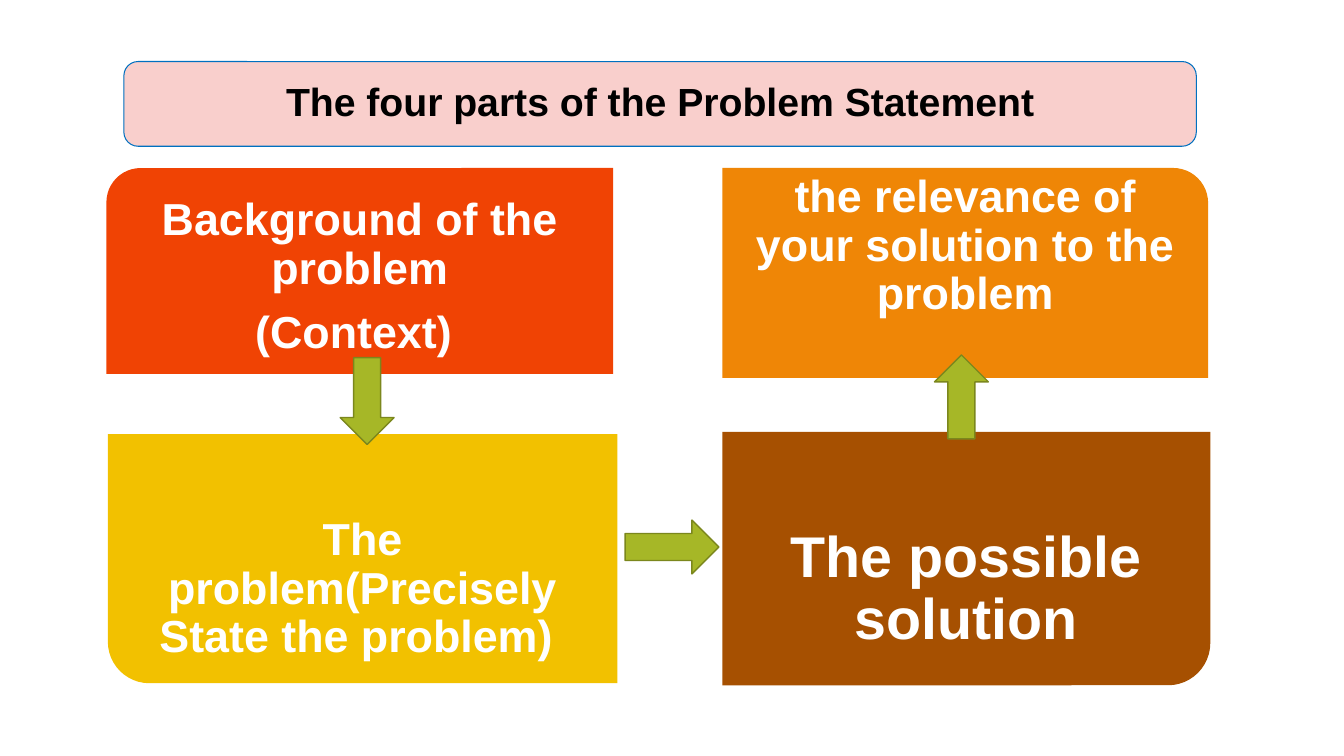
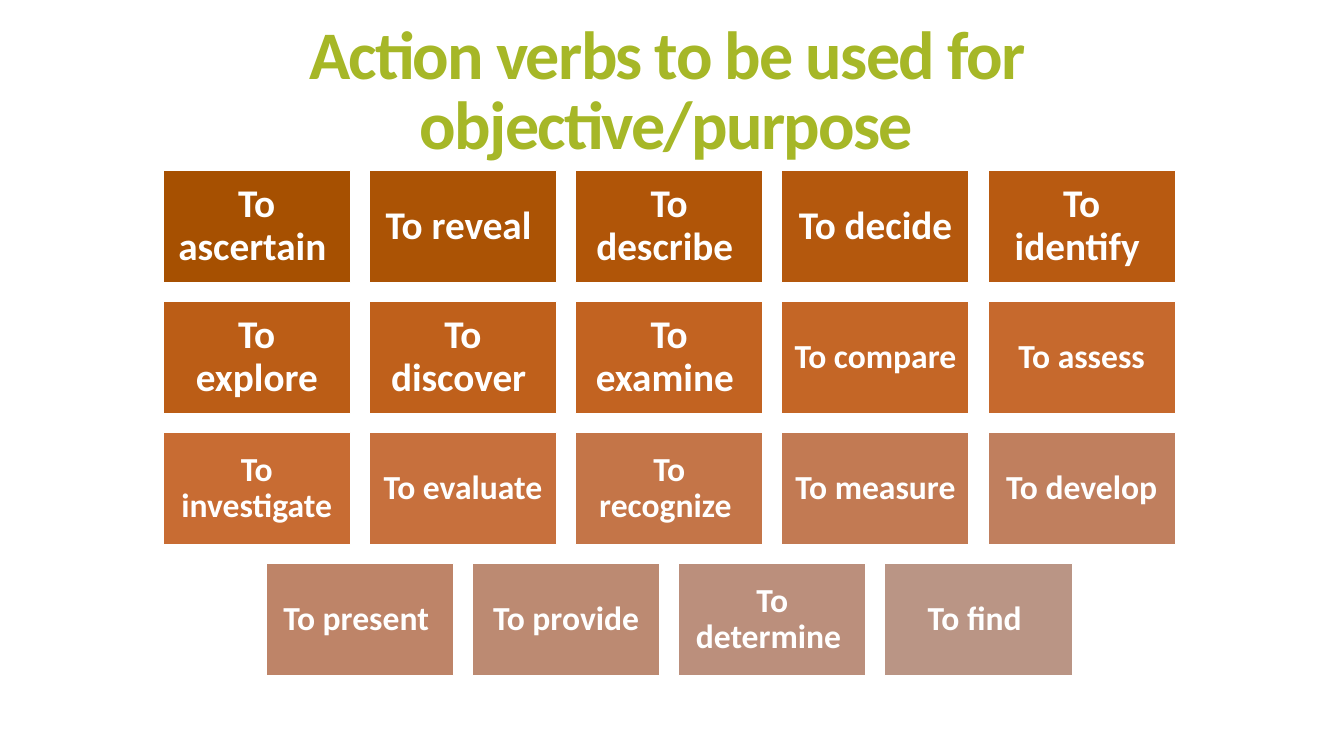
from dataclasses import dataclass

from pptx import Presentation
from pptx.dml.color import RGBColor
from pptx.enum.shapes import MSO_SHAPE
from pptx.enum.text import MSO_ANCHOR, MSO_AUTO_SIZE, PP_ALIGN
from pptx.util import Pt

CENTER = PP_ALIGN.CENTER
MIDDLE = MSO_ANCHOR.MIDDLE
NO_FIT = MSO_AUTO_SIZE.NONE
RECTANGLE = MSO_SHAPE.RECTANGLE
ROUNDED = MSO_SHAPE.ROUNDED_RECTANGLE
ONE_ROUND = MSO_SHAPE.ROUND_1_RECTANGLE
DOWN, UP, RIGHT = MSO_SHAPE.DOWN_ARROW, MSO_SHAPE.UP_ARROW, MSO_SHAPE.RIGHT_ARROW


@dataclass(frozen=True)
class Theme:
    white: str = "FFFFFF"
    black: str = "000000"
    green: str = "A6B727"
    green_edge: str = "7B871D"
    banner: str = "F9CFCC"
    banner_edge: str = "0070C0"
    red: str = "F04304"
    orange: str = "EF8606"
    yellow: str = "F2C100"
    brown: str = "A65001"
    diagram_font: str = "Arial"
    verb_font: str = "Calibri"
    banner_size: float = 28
    panel_size: float = 32
    solution_size: float = 41
    title_size: float = 48.6
    verb_size: float = 28
    small_verb_size: float = 24


theme = Theme()


def add_box(slide, kind, frame, fill, edge=None, edge_width=1):
    box = slide.shapes.add_shape(kind, *map(Pt, frame))
    box.shadow.inherit = False
    box.fill.solid()
    box.fill.fore_color.rgb = RGBColor.from_string(fill)
    if edge:
        box.line.color.rgb = RGBColor.from_string(edge)
        box.line.width = Pt(edge_width)
    else:
        box.line.fill.background()
    return box


def write(box, lines, font, size, colour, margin, spacing=0.9):
    text = box.text_frame
    text.word_wrap = True
    text.auto_size = NO_FIT
    text.vertical_anchor = MIDDLE
    text.margin_left = text.margin_right = Pt(margin)
    text.margin_top = text.margin_bottom = 0
    text.text = "\n".join(lines)
    for index, para in enumerate(text.paragraphs):
        para.alignment = CENTER
        para.line_spacing = spacing
        para.space_before = Pt(0.35 * size if index else 0)
        para.font.name = font
        para.font.size = Pt(size)
        para.font.bold = True
        para.font.color.rgb = RGBColor.from_string(colour)


deck = Presentation()
deck.slide_width, deck.slide_height = Pt(960), Pt(540)
title_only = deck.slide_layouts[5]

parts_page = deck.slides.add_slide(title_only)
title = parts_page.shapes.title
banner_frame = (88.5, 44, 766, 60.5)
title.left, title.top, title.width, title.height = map(Pt, banner_frame)
write(title, ["The four parts of the Problem Statement"],
      theme.diagram_font, theme.banner_size, theme.black, 8.4)
banner = add_box(parts_page, ROUNDED, banner_frame, theme.banner, theme.banner_edge, 0.75)
title._element.addprevious(banner._element)

panels = [
    ((76, 120, 362, 147), 270, theme.red, theme.panel_size, 23,
     ["Background of the problem", "(Context) "]),
    ((516, 120, 347, 150), 0, theme.orange, theme.panel_size, 0,
     ["the relevance of your solution to the problem"]),
    ((77, 310, 364, 178), 180, theme.yellow, theme.panel_size, 44.5,
     ["The problem(Precisely State the problem) "]),
    ((516, 308.5, 348.5, 181), 90, theme.brown, theme.solution_size, 45,
     ["The possible solution"]),
]
for (left, top, width, height), turn, fill, size, text_drop, lines in panels:
    frame = (left, top, width, height)
    if turn % 180:
        shift = (width - height) / 2
        frame = (left + shift, top - shift, height, width)
    panel = add_box(parts_page, ONE_ROUND, frame, fill)
    panel.rotation = turn
    label = parts_page.shapes.add_textbox(
        Pt(left), Pt(top + text_drop), Pt(width), Pt(0.75 * height))
    write(label, lines, theme.diagram_font, size, theme.white, 0.56 * size)

arrows = [
    (DOWN, (243, 255.5, 38.5, 62)),
    (UP, (667.5, 253.5, 38.5, 60)),
    (RIGHT, (446.5, 371.5, 67, 38.5)),
]
for kind, frame in arrows:
    add_box(parts_page, kind, frame, theme.green, theme.green_edge)

verbs_page = deck.slides.add_slide(title_only)
title = verbs_page.shapes.title
title.left, title.top, title.width, title.height = map(Pt, (52, 12, 848, 110))
write(title, ["Action verbs to be used for objective/purpose"],
      theme.verb_font, theme.title_size, theme.green, 7.2, 0.85)
span = title.text_frame.paragraphs[0].runs[0]
span._r.get_or_add_rPr().set("spc", "-120")

verb_rows = [
    [("To ascertain ", "A65001"), ("To reveal ", "AB5305"), ("To describe ", "B05508"),
     ("To decide", "B4580D"), ("To identify ", "B85A11")],
    [("To explore", "BB5D16"), ("To discover ", "BF601B"), ("To examine ", "C26321"),
     ("To compare", "C46626"), ("To assess", "C6692D")],
    [("To investigate", "C86C33"), ("To evaluate", "C7703D"), ("To recognize ", "C47548"),
     ("To measure", "C27A53"), ("To develop", "C07F5E")],
    [("To present ", "BE8468"), ("To provide", "BC8A72"), ("To determine ", "BB8F7C"),
     ("To find ", "BA9585")],
]
tile_width, tile_height, gap = 134, 80, 13.3
grid_center, grid_top = 478, 121.7
large_verbs = 8
verb_count = 0
for row, verbs in enumerate(verb_rows):
    row_width = len(verbs) * (tile_width + gap) - gap
    top = grid_top + row * (tile_height + gap + 0.3)
    for column, (verb, fill) in enumerate(verbs):
        left = grid_center - row_width / 2 + column * (tile_width + gap)
        size = theme.verb_size if verb_count < large_verbs else theme.small_verb_size
        tile = add_box(verbs_page, RECTANGLE, (left, top, tile_width, tile_height),
                       fill, theme.white)
        write(tile, [verb], theme.verb_font, size, theme.white, 0.3 * size)
        verb_count += 1

deck.save("out.pptx")
